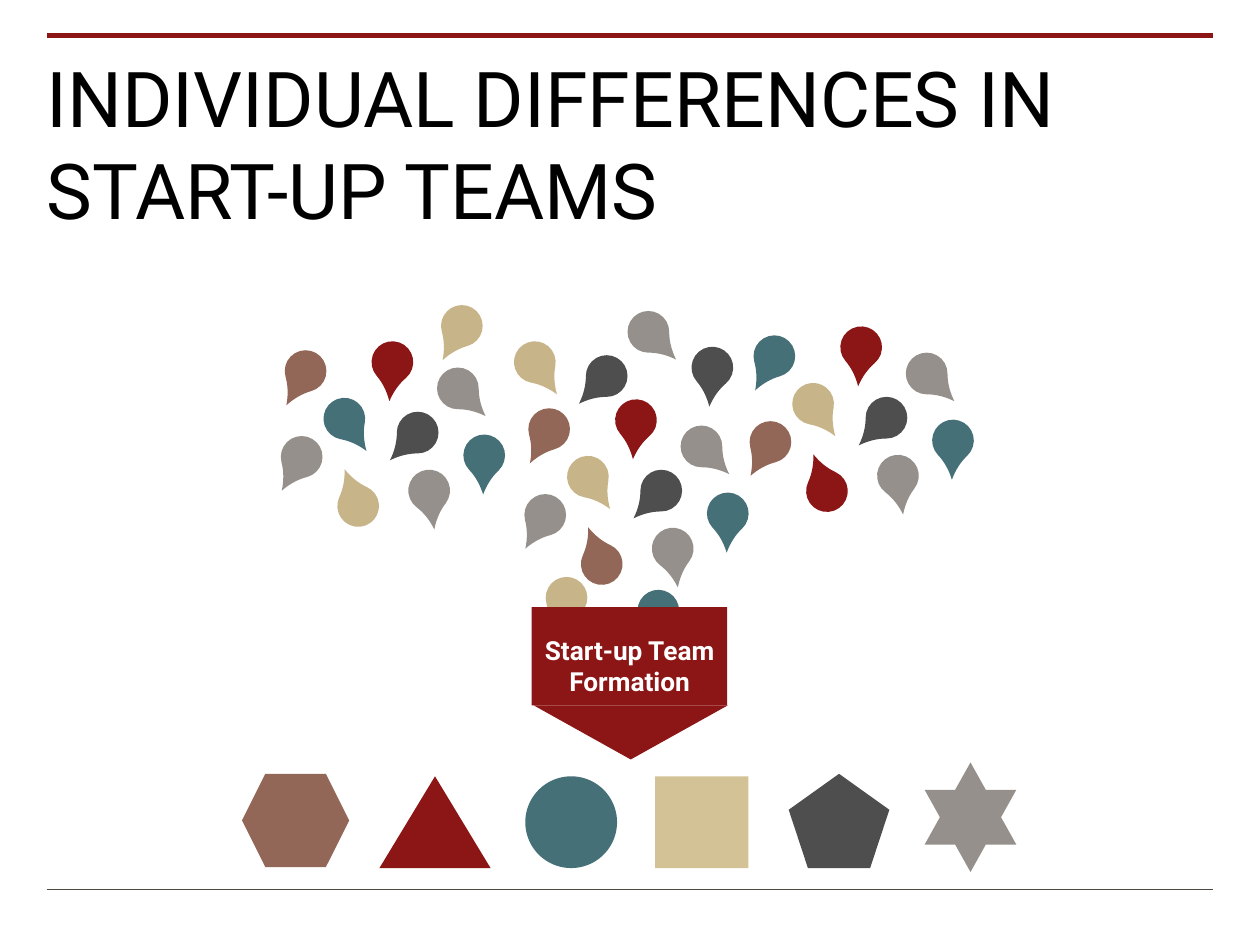
import pptx
import pptx.dml.color
import pptx.enum.shapes
import pptx.enum.text
import pptx.oxml
import pptx.oxml.ns
import pptx.util
from lxml import etree

Cm = pptx.util.Cm
Pt = pptx.util.Pt
RGBColor = pptx.dml.color.RGBColor
SHAPE = pptx.enum.shapes.MSO_SHAPE
ALIGN = pptx.enum.text.PP_ALIGN
ANCHOR = pptx.enum.text.MSO_ANCHOR
qn = pptx.oxml.ns.qn

RED = RGBColor(0x8C, 0x15, 0x15)
DARK = RGBColor(0x0D, 0x0D, 0x0D)
BROWN = RGBColor(0x6A, 0x2D, 0x17)
TEAL = RGBColor(0x00, 0x3C, 0x45)
TAN = RGBColor(0xB3, 0x99, 0x5D)
GRAY = RGBColor(0x6F, 0x68, 0x60)
SAND = RGBColor(0xD2, 0xC2, 0x95)
OLIVE = RGBColor(0x4D, 0x4A, 0x3D)
BLACK = RGBColor(0x00, 0x00, 0x00)
WHITE = RGBColor(0xFF, 0xFF, 0xFF)
OPACITY = {DARK: 73, BROWN: 72, TEAL: 73, TAN: 73, GRAY: 73}

deck = pptx.Presentation()
deck.slide_width, deck.slide_height = Cm(25.4), Cm(19.05)
slide = deck.slides.add_slide(deck.slide_layouts[5])


def write(frame, text, size, color, bold=False, align=ALIGN.LEFT,
          anchor=ANCHOR.TOP, inset=0):
    frame.word_wrap = True
    frame.auto_size = pptx.enum.text.MSO_AUTO_SIZE.NONE
    frame.vertical_anchor = anchor
    frame.margin_left = frame.margin_right = 0
    frame.margin_top = frame.margin_bottom = Cm(inset)
    paragraph = frame.paragraphs[0]
    paragraph.alignment = align
    run = paragraph.add_run()
    run.text = text
    run.font.name = "Roboto"
    run.font.size = Pt(size)
    run.font.bold = bold
    run.font.color.rgb = color


def draw(kind, left, top, width, height, color, rotation=0):
    shape = slide.shapes.add_shape(kind, Cm(left), Cm(top), Cm(width), Cm(height))
    shape.rotation = rotation
    shape.shadow.inherit = False
    shape.line.fill.background()
    shape.fill.solid()
    shape.fill.fore_color.rgb = color
    if color in OPACITY:
        tint = shape.fill._xPr.find(".//" + qn("a:srgbClr"))
        etree.SubElement(tint, qn("a:alpha")).set("val", str(OPACITY[color] * 1000))
    if kind == SHAPE.TEAR:
        shape.adjustments[0] = 1.33
    return shape


for y, color, weight in [(0.71, RED, 3), (17.93, OLIVE, 0.25)]:
    rule = slide.shapes.add_connector(
        pptx.enum.shapes.MSO_CONNECTOR.STRAIGHT, Cm(0.94), Cm(y), Cm(24.46), Cm(y))
    rule.line.color.rgb = color
    rule.line.width = Pt(weight)
    etree.SubElement(rule._element.spPr, qn("a:effectLst"))

title = slide.shapes.title
title.left, title.top, title.width, title.height = Cm(0.94), Cm(0.86), Cm(23.52), Cm(1.12)
write(title.text_frame, "INDIVIDUAL DIFFERENCES IN START-UP TEAMS", 44, BLACK, inset=0.15)

drops = [
    (11, 11.63, 164.3, TAN),
    (12.85, 11.89, 136.6, TEAL),
    (13.94, 6.99, 139.4, DARK),
    (11.81, 7.16, 180, DARK),
    (8.89, 6.15, 164.3, TAN),
    (10.36, 6.88, 100.5, TAN),
    (12.65, 6.27, 90, GRAY),
]
cluster_pattern = [
    (0, 0, 139.4), (0.51, 1.42, 180), (-1.75, 0.18, 164.3),
    (-0.97, 1.14, 100.5), (-0.69, 2.9, 294.8), (1.85, 1.88, 136.6),
    (-1.83, 1.91, 165.5), (1.32, 0.53, 90), (0.74, 2.59, 127.4),
]
clusters = [
    (7.49, 6.88, [RED, DARK, BROWN, TEAL, TAN, TEAL, GRAY, GRAY, GRAY]),
    (12.4, 8.05, [RED, DARK, BROWN, TAN, BROWN, TEAL, GRAY, GRAY, GRAY]),
    (16.94, 6.58, [RED, DARK, TEAL, TAN, RED, TEAL, BROWN, GRAY, GRAY]),
]
for x, y, colors in clusters:
    for (dx, dy, rotation), color in zip(cluster_pattern, colors):
        drops.append((x + dx, y + dy, rotation, color))
for x, y, rotation, color in drops:
    draw(SHAPE.TEAR, x, y, 0.84, 0.84, color, rotation)

draw(SHAPE.RECTANGLE, 10.72, 12.24, 3.94, 1.98, RED)
draw(SHAPE.ISOSCELES_TRIANGLE, 10.76, 14.22, 3.91, 1.09, RED, 180)
formation = slide.shapes.add_textbox(Cm(10.79), Cm(12.24), Cm(3.81), Cm(2.36))
write(formation.text_frame, "Start-up Team Formation", 15, WHITE, bold=True,
      align=ALIGN.CENTER, anchor=ANCHOR.MIDDLE)

members = [
    (SHAPE.HEXAGON, 4.88, 15.6, 2.16, 1.88, BROWN),
    (SHAPE.ISOSCELES_TRIANGLE, 7.65, 15.65, 2.24, 1.85, RED),
    (SHAPE.OVAL, 10.59, 15.65, 1.85, 1.85, TEAL),
    (SHAPE.RECTANGLE, 13.21, 15.65, 1.88, 1.85, SAND),
    (SHAPE.REGULAR_PENTAGON, 15.9, 15.6, 2.03, 1.9, DARK),
    (SHAPE.STAR_6_POINT, 18.64, 15.37, 1.85, 2.21, GRAY),
]
for member in members:
    draw(*member)

deck.save("out.pptx")
